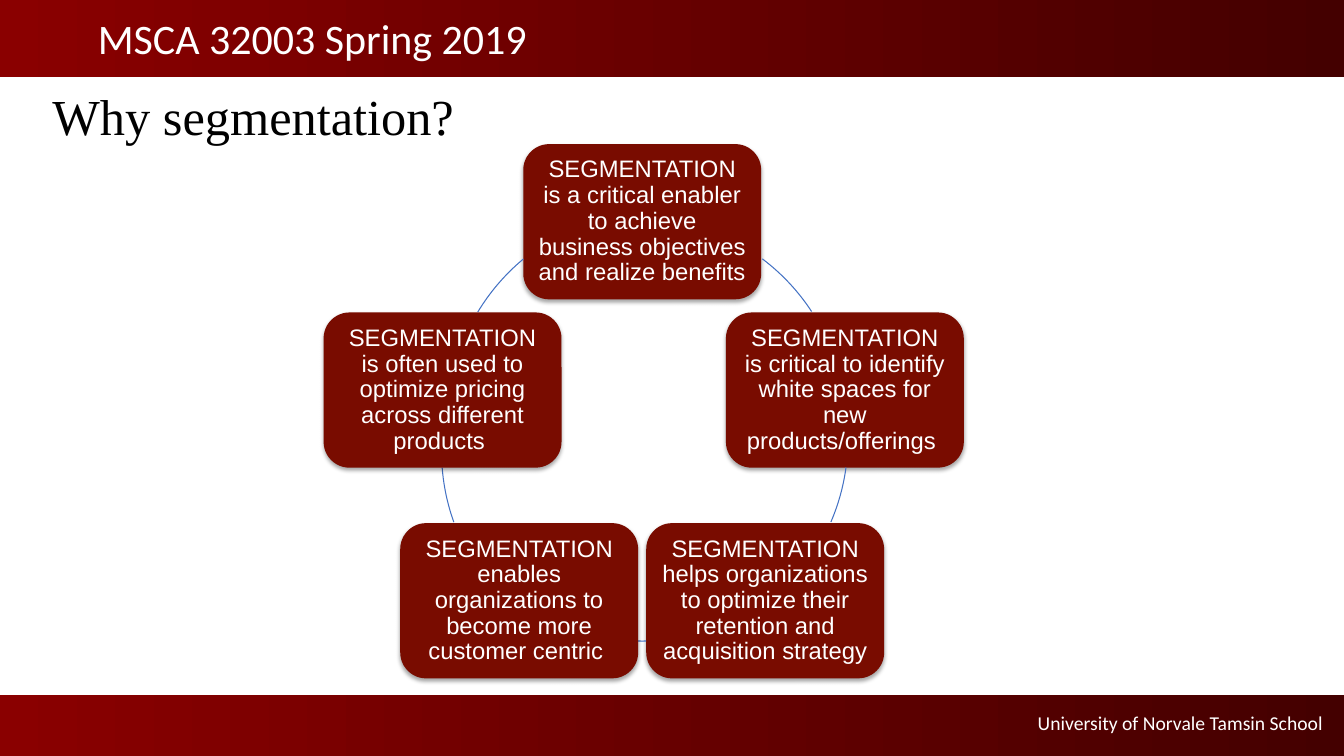
"""Build the slide on why segmentation matters."""
from pptx import Presentation
from pptx.dml.color import RGBColor
from pptx.enum.shapes import MSO_SHAPE
from pptx.enum.text import MSO_ANCHOR, MSO_AUTO_SIZE, PP_ALIGN
from pptx.oxml import parse_xml
from pptx.oxml.ns import nsdecls, qn
from pptx.util import Inches, Pt

RECT, ROUND, ARC = MSO_SHAPE.RECTANGLE, MSO_SHAPE.ROUNDED_RECTANGLE, MSO_SHAPE.ARC
LEFT, MID, RIGHT = PP_ALIGN.LEFT, PP_ALIGN.CENTER, PP_ALIGN.RIGHT
TOP, CENTER = MSO_ANCHOR.TOP, MSO_ANCHOR.MIDDLE
FIXED = MSO_AUTO_SIZE.NONE
WIDE, HIGH = 13.33, 7.5
CARD_W, CARD_H = 2.36, 1.54
RING = 4.16

CARDS = [
    (1.98, 0, "is a critical enabler to achieve business objectives and realize benefits "),
    (3.99, 1.67, "is critical to identify white spaces for new products/offerings "),
    (3.2, 3.76, "helps organizations to optimize their retention and acquisition strategy "),
    (0.76, 3.76, "enables organizations to become more customer centric "),
    (0, 1.67, "is often used to optimize pricing across different products "),
]
ARCS = [
    (1.02, 0.72, 307, 326.8),
    (1.04, 0.85, 7.7, 23.2),
    (1.08, 0.77, 88.9, 91.1),
    (1.17, 0.97, 160.3, 175.6),
    (1.23, 0.66, 211.1, 230.3),
]


def paint(color, code):
    """Set a colour from a hex string."""
    color.rgb = RGBColor.from_string(code)


def place(box):
    """Turn a box in inches into lengths."""
    return [Inches(side) for side in box]


def write(shape, text, font, size, code, align=LEFT, anchor=TOP, pad=(0.05, 0.05)):
    """Put one formatted paragraph into a shape."""
    frame = shape.text_frame
    frame.text = text
    frame.word_wrap, frame.auto_size = True, FIXED
    frame.vertical_anchor = anchor
    frame.margin_left = frame.margin_right = Inches(pad[0])
    frame.margin_top = frame.margin_bottom = Inches(pad[1])
    para = frame.paragraphs[0]
    para.alignment = align
    face = para.runs[0].font
    face.name, face.size = font, Pt(size)
    paint(face.color, code)
    return para


def shade(shape):
    """Give a shape a soft shadow below it."""
    shape.shadow.inherit = False
    effects = shape._element.spPr.find(qn("a:effectLst"))
    effects.append(parse_xml(
        f'<a:outerShdw {nsdecls("a")} blurRad="{Pt(3.1)}" dist="{Pt(1.8)}" '
        'dir="5400000" rotWithShape="0"><a:srgbClr val="000000">'
        '<a:alpha val="35000"/></a:srgbClr></a:outerShdw>'))


def draw_band(slide, box, label, size, inner, align, pad):
    """Draw a gradient band with a label placed inside it."""
    band = slide.shapes.add_shape(RECT, *place(box))
    band.shadow.inherit = False
    band.line.fill.background()
    band.fill.gradient()
    band.fill.gradient_angle = 0
    for stop, code in zip(band.fill.gradient_stops, ("8A0000", "440000")):
        paint(stop.color, code)
    x, y, w, h = inner
    text = slide.shapes.add_textbox(*place((box[0] + x, box[1] + y, w, h)))
    write(text, label, "Calibri", size, "FFFFFF", align, pad=pad)


def draw_title(slide, box):
    """Place the slide title."""
    title = slide.shapes.title
    title.left, title.top, title.width, title.height = place(box)
    para = write(title, "Why segmentation?", "Times New Roman", 36, "000000")
    para.line_spacing = 1.0


def draw_arc(slide, box, start, end):
    """Draw part of the ring between two angles in degrees."""
    arc = slide.shapes.add_shape(ARC, *place(box))
    arc.shadow.inherit = False
    arc.fill.background()
    paint(arc.line.color, "4472C4")
    arc.line.width = Pt(0.75)
    arc.adjustments[0], arc.adjustments[1] = start * 0.6, end * 0.6


def draw_card(slide, box, reason):
    """Draw one reason card."""
    card = slide.shapes.add_shape(ROUND, *place(box))
    card.fill.solid()
    paint(card.fill.fore_color, "790C00")
    card.line.fill.background()
    shade(card)
    para = write(card, "SEGMENTATION " + reason, "Arial", 17, "FFFFFF",
                 MID, CENTER, (0.07, 0.07))
    para.line_spacing = 0.9


def draw_cycle(slide, left, top):
    """Draw the ring of reasons from its top left corner."""
    for (x, y, reason), (dx, dy, start, end) in zip(CARDS, ARCS):
        draw_card(slide, (left + x, top + y, CARD_W, CARD_H), reason)
        draw_arc(slide, (left + dx, top + dy, RING, RING), start, end)


def main():
    """Build and save the deck."""
    deck = Presentation()
    deck.slide_width, deck.slide_height = Inches(WIDE), Inches(HIGH)
    slide = deck.slides.add_slide(deck.slide_layouts[5])
    draw_band(slide, (0, 6.89, WIDE, 0.61), "University of Norvale Tamsin School",
              14, (7.5, 0.11, 5.72, 0.34), RIGHT, (0.1, 0.05))
    draw_band(slide, (0, 0, WIDE, 0.76), "MSCA 32003 Spring 2019",
              30, (0.92, 0.07, 8.58, 0.61), LEFT, (0.05, 0.05))
    draw_title(slide, (0.47, 0.79, 10.11, 0.71))
    draw_cycle(slide, 3.21, 1.43)
    deck.save("out.pptx")


main()
